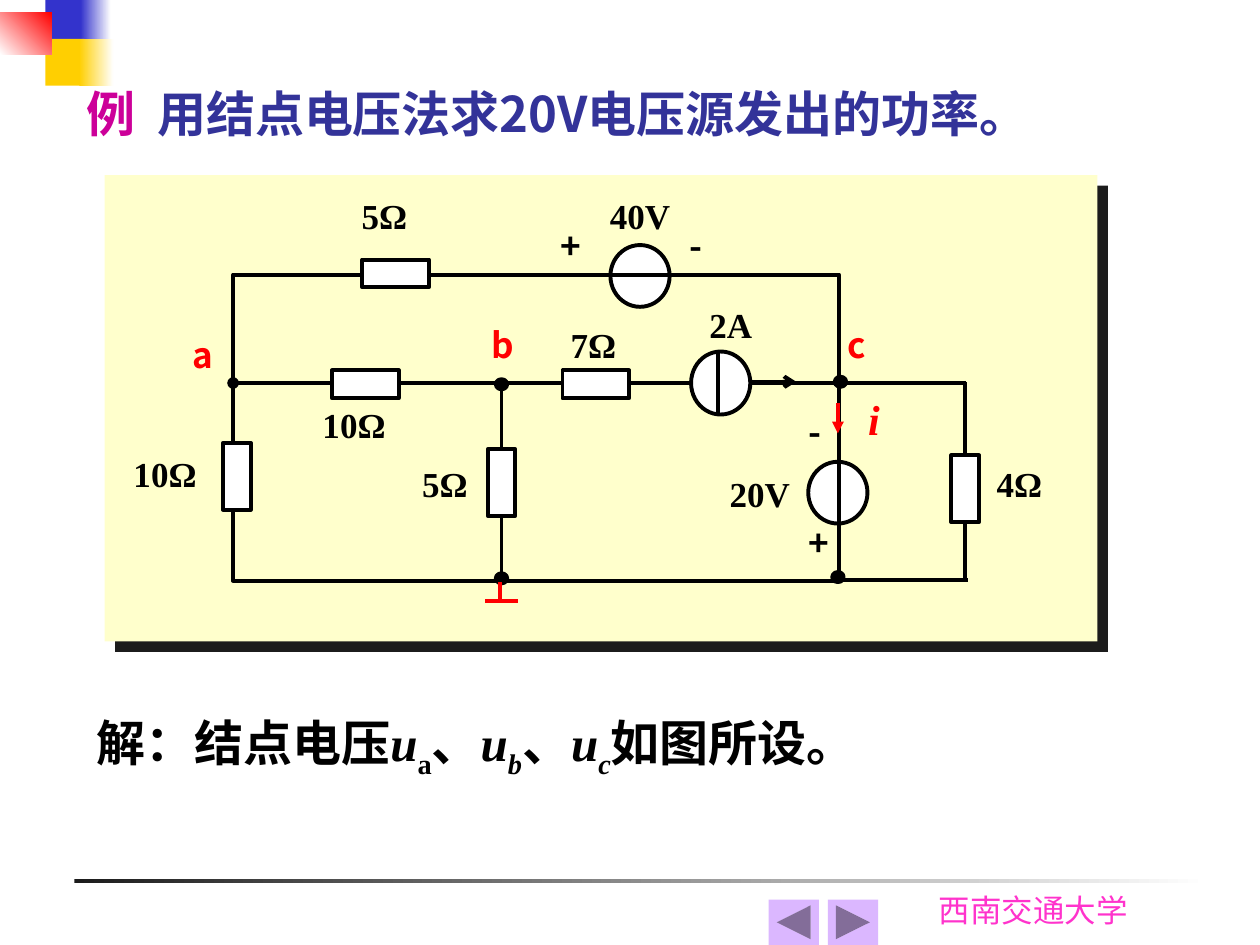
from lxml import etree
from pptx import Presentation
from pptx.dml.color import RGBColor
from pptx.enum.shapes import MSO_CONNECTOR, MSO_SHAPE
from pptx.enum.text import MSO_ANCHOR
from pptx.oxml.ns import qn
from pptx.util import Inches, Pt

RECTANGLE = MSO_SHAPE.RECTANGLE
OVAL = MSO_SHAPE.OVAL
BACK_BUTTON = MSO_SHAPE.ACTION_BUTTON_BACK_OR_PREVIOUS
NEXT_BUTTON = MSO_SHAPE.ACTION_BUTTON_FORWARD_OR_NEXT
STRAIGHT = MSO_CONNECTOR.STRAIGHT
MIDDLE = MSO_ANCHOR.MIDDLE
TOP = MSO_ANCHOR.TOP

SERIF = "Times New Roman"
SANS = "Noto Sans CJK SC"
BLACK, WHITE, RED = "000000", "FFFFFF", "FF0000"
WIRE_WIDTH = Pt(2.25)


def color(value):
    return RGBColor.from_string(value)


def add_block(slide, kind, left, top, width, height, fill=None, line=None):
    shape = slide.shapes.add_shape(
        kind, Inches(left), Inches(top), Inches(width), Inches(height))
    shape.shadow.inherit = False
    if fill:
        shape.fill.solid()
        shape.fill.fore_color.rgb = color(fill)
    else:
        shape.fill.background()
    if line:
        shape.line.color.rgb = color(line)
        shape.line.width = WIRE_WIDTH
    else:
        shape.line.fill.background()
    return shape


def add_gradient(slide, left, top, width, height, start, end, angle=0):
    shape = add_block(slide, RECTANGLE, left, top, width, height, start)
    shape.fill.gradient()
    shape.fill.gradient_angle = angle
    for stop, value in zip(shape.fill.gradient_stops, (start, end)):
        stop.color.rgb = color(value)


def add_centered(slide, kind, x, y, width, height, fill):
    return add_block(slide, kind, x - width / 2, y - height / 2,
                     width, height, fill, BLACK)


def add_wire(slide, x1, y1, x2, y2, value=BLACK, head=None, tail=None):
    wire = slide.shapes.add_connector(
        STRAIGHT, Inches(x1), Inches(y1), Inches(x2), Inches(y2))
    wire.line.color.rgb = color(value)
    wire.line.width = WIRE_WIDTH
    line = wire.line._get_or_add_ln()
    for tag, end in (("a:headEnd", head), ("a:tailEnd", tail)):
        if end:
            etree.SubElement(line, qn(tag), type=end)
    etree.SubElement(wire._element.spPr, qn("a:effectLst"))


def add_text(slide, left, top, width, height, runs, size, margin=0,
             spacing=1.0, anchor=TOP, bold=True, tab=None):
    box = slide.shapes.add_textbox(
        Inches(left), Inches(top), Inches(width), Inches(height))
    frame = box.text_frame
    frame.word_wrap = True
    frame.vertical_anchor = anchor
    frame.margin_left = frame.margin_right = Inches(margin)
    frame.margin_top = frame.margin_bottom = Inches(margin / 2)
    paragraph = frame.paragraphs[0]
    paragraph.line_spacing = spacing
    if tab:
        tabs = etree.SubElement(paragraph._p.get_or_add_pPr(), qn("a:tabLst"))
        etree.SubElement(tabs, qn("a:tab"), pos=str(Inches(tab)), algn="l")
    for text, typeface, value, italic, baseline in runs:
        run = paragraph.add_run()
        run.text = text
        run.font.size = Pt(size)
        run.font.bold = bold
        run.font.italic = italic
        run.font.name = typeface
        run.font.color.rgb = color(value)
        properties = run._r.get_or_add_rPr()
        etree.SubElement(properties, qn("a:ea"), typeface=SANS)
        if baseline:
            properties.set("baseline", str(baseline * 1000))


def draw_corner(slide, left, top):
    for x, y, width, fade_x, fade_width, value in (
            (0.36, 0, 0.32, 0.64, 0.24, "3333CC"),
            (0.36, 0.31, 0.31, 0.63, 0.27, "FFCF01")):
        add_block(slide, RECTANGLE, left + x, top + y, width, 0.37, value)
        add_gradient(slide, left + fade_x, top + y, fade_width, 0.37, value, WHITE)
    add_gradient(slide, left, top + 0.1, 0.41, 0.33, WHITE, RED, 45)


def draw_footer(slide, left, top, width):
    add_gradient(slide, left, top, width, 0.03, "1C1C1C", WHITE)
    add_text(slide, left + 6.76, top + 0.04, 1.81, 0.4,
             [("西南交通大学", "Roboto", "FF33CC", False, 0)],
             18, margin=0.1, bold=False)
    for index, kind in enumerate((BACK_BUTTON, NEXT_BUTTON)):
        add_block(slide, kind, left + 5.51 + index * 0.47, top + 0.16,
                  0.4, 0.36, "DBB7FF")


def draw_panel(slide, left, top, width, height):
    panel = add_block(slide, RECTANGLE, left, top, width, height, "FFFFCC")
    effects = panel._element.spPr.find(qn("a:effectLst"))
    shadow = etree.SubElement(effects, qn("a:outerShdw"), dist=str(Pt(8.5)),
                              dir="2700000", algn="ctr", rotWithShape="0")
    etree.SubElement(shadow, qn("a:srgbClr"), val="1C1C1C")


def draw_circuit(slide, left, top):
    for x, y in ((5.82, 2.52), (4.25, 0.8)):
        add_centered(slide, OVAL, left + x, top + y, 0.47, 0.49, WHITE)
    add_block(slide, RECTANGLE, left + 1.02, top + 0.79, 4.81, 2.43, line=BLACK)
    for x1, y1, x2, y2, head in (
            (1.02, 1.65, 6.84, 1.65, "oval"), (3.15, 1.65, 3.15, 3.15, None),
            (6.83, 1.64, 6.83, 3.21, None), (5.82, 3.21, 6.85, 3.21, None)):
        add_wire(slide, left + x1, top + y1, left + x2, top + y2, head=head)
    add_centered(slide, OVAL, left + 4.89, top + 1.65, 0.47, 0.5, WHITE)
    add_wire(slide, left + 4.87, top + 1.39, left + 4.87, top + 1.89)
    add_wire(slide, left + 5.13, top + 1.64, left + 5.49, top + 1.64, tail="arrow")
    for x, y, flat in ((2.31, 0.78, True), (2.07, 1.66, True), (3.9, 1.66, True),
                       (3.15, 2.44, False), (6.83, 2.49, False), (1.05, 2.39, False)):
        resistor = add_centered(slide, RECTANGLE, left + x, top + y, 0.22, 0.53, WHITE)
        resistor.rotation = 270 if flat else 0
    for x, y in ((5.84, 1.64), (3.15, 1.66), (5.82, 3.19), (3.15, 3.2)):
        add_centered(slide, OVAL, left + x, top + y, 0.09, 0.08, BLACK)
    for x1, y1, x2, y2, tail in (
            (3.02, 3.38, 3.28, 3.38, None), (3.14, 3.23, 3.14, 3.38, None),
            (5.82, 1.81, 5.82, 2.05, "triangle")):
        add_wire(slide, left + x1, top + y1, left + x2, top + y2, RED, tail=tail)


def draw_labels(slide, left, top):
    values = (("10Ω", 0.23, 2.2), ("20V", 4.96, 2.36), ("40V", 4.01, 0.15),
              ("10Ω", 1.73, 1.81), ("5Ω", 2.52, 2.28), ("7Ω", 3.7, 1.18),
              ("2A", 4.8, 1.02), ("5Ω", 2.04, 0.15), ("4Ω", 7.08, 2.28))
    signs = (("+", 3.62, 0.39), ("+", 5.59, 2.75),
             ("-", 5.59, 1.87), ("-", 4.64, 0.39))
    nodes = (("a", 0.7, 1.26), ("b", 3.07, 1.18), ("c", 5.9, 1.18))
    current = (("i", 6.06, 1.73),)
    for labels, width, typeface, value, size, italic in (
            (values, 0.67, SERIF, BLACK, 20, False),
            (signs, 0.36, SANS, BLACK, 20, False),
            (nodes, 0.5, SANS, RED, 20, False),
            (current, 0.82, SERIF, RED, 24, True)):
        for text, x, y in labels:
            add_text(slide, left + x, top + y, width, 0.5,
                     [(text, typeface, value, italic, 0)], size)


def draw_title(slide, left, top, width, height):
    runs = [("例\t", SERIF, "CC0099", False, 0),
            ("用结", SERIF, "333399", False, 0),
            ("点电压法求20V电压源发出的功率。", SANS, "333399", False, 0)]
    add_text(slide, left, top, width, height, runs, 28, margin=0.1,
             spacing=1.3, anchor=MIDDLE, tab=0.56)


def draw_solution(slide, left, top, width, height):
    runs = [("解：结点电压", SERIF, BLACK, False, 0)]
    for subscript, italic, following, typeface in (
            ("a", False, "、", SERIF), ("b", True, "、", SERIF),
            ("c", True, "如图所设。", SANS)):
        runs += [("u", SERIF, BLACK, True, 0),
                 (subscript, SERIF, BLACK, italic, -25),
                 (following, typeface, BLACK, False, 0)]
    add_text(slide, left, top, width, height, runs, 28, margin=0.1,
             spacing=1.2, anchor=MIDDLE)


def main():
    presentation = Presentation()
    presentation.slide_width = Inches(10)
    presentation.slide_height = Inches(7.5)
    slide = presentation.slides.add_slide(presentation.slide_layouts[6])
    draw_footer(slide, 0.59, 6.98, 9)
    draw_corner(slide, 0, 0)
    draw_panel(slide, 0.83, 1.39, 7.88, 3.7)
    draw_circuit(slide, 0.83, 1.39)
    draw_labels(slide, 0.83, 1.39)
    draw_title(slide, 0.59, 0.36, 8.58, 0.94)
    draw_solution(slide, 0.67, 5.4, 6.38, 0.94)
    presentation.save("out.pptx")


if __name__ == "__main__":
    main()
